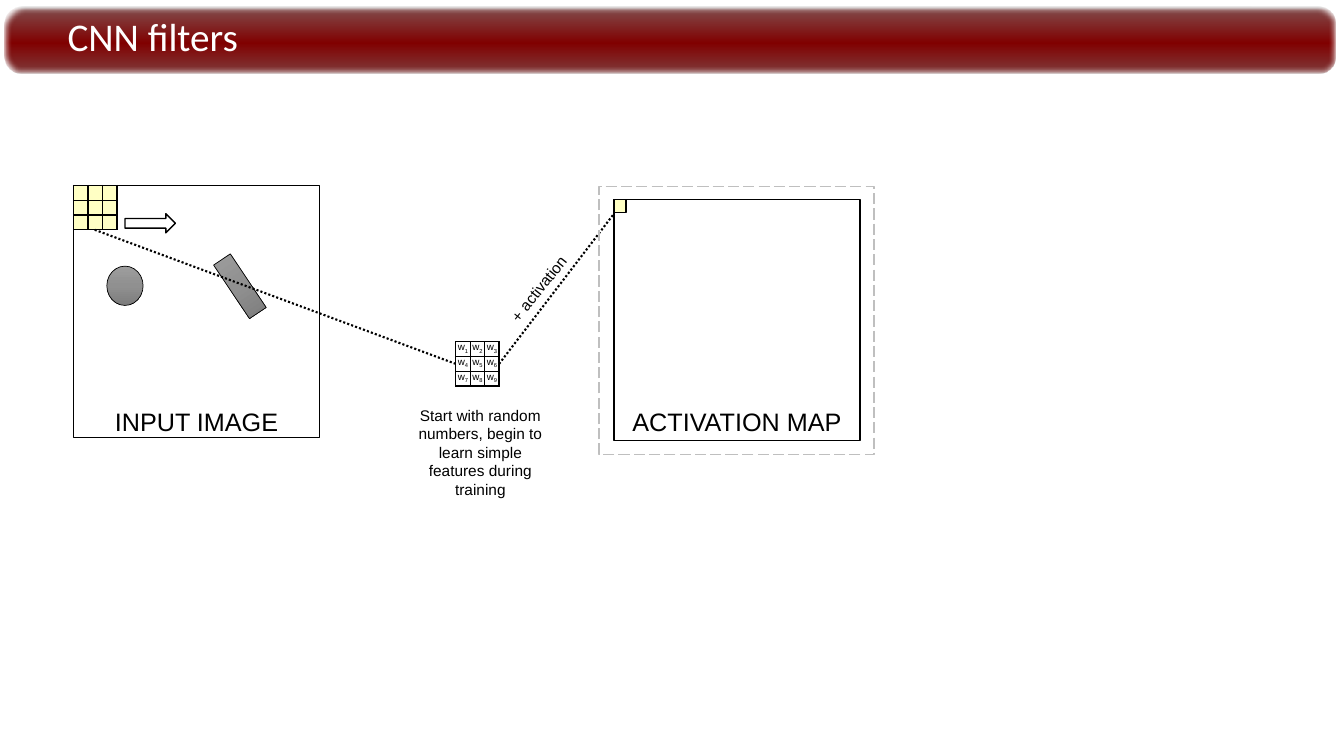
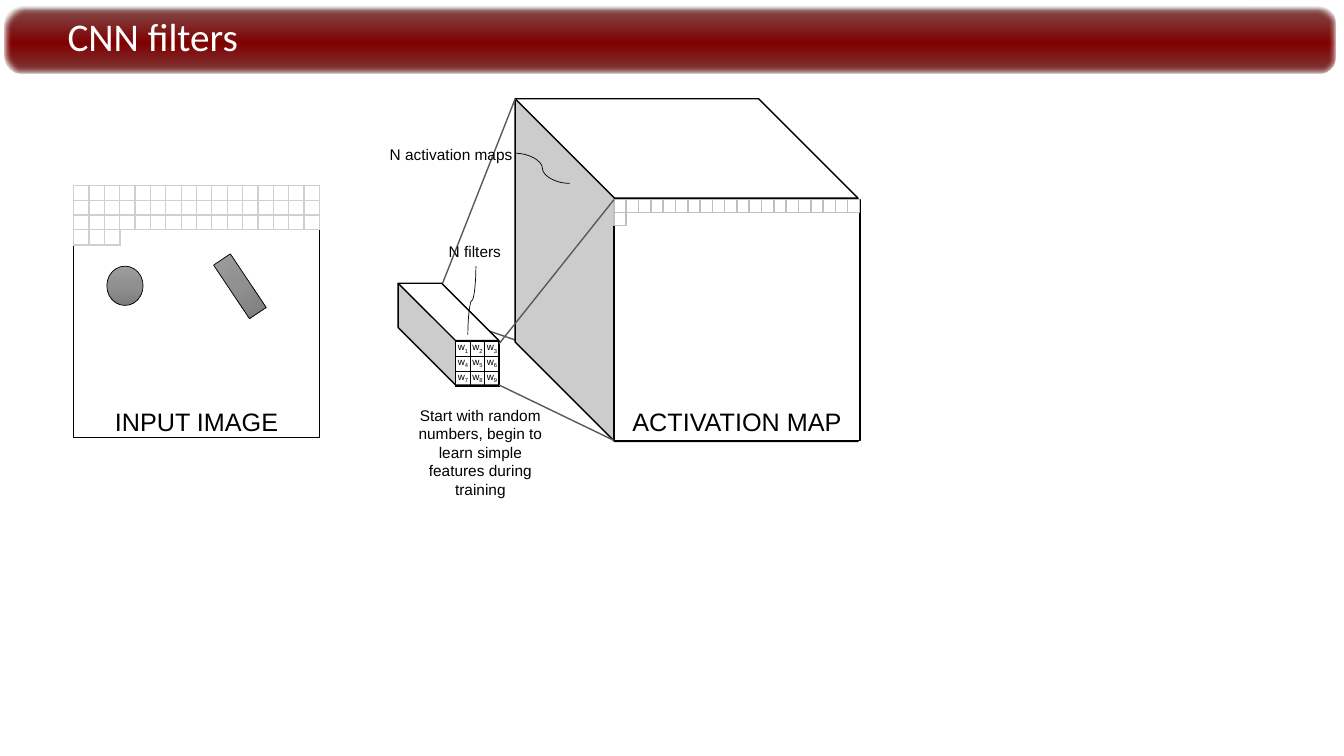
from dataclasses import dataclass
from typing import NamedTuple, Optional

from lxml.etree import SubElement
from pptx import Presentation
from pptx.dml.color import RGBColor
from pptx.enum.dml import MSO_LINE
from pptx.enum.shapes import MSO_CONNECTOR, MSO_SHAPE
from pptx.enum.text import MSO_ANCHOR, MSO_AUTO_SIZE, PP_ALIGN
from pptx.oxml.ns import qn
from pptx.shapes.autoshape import Shape
from pptx.slide import Slide
from pptx.text.text import _Paragraph
from pptx.util import Inches, Pt


class Stop(NamedTuple):
    percent: int
    color: str
    opacity: int = 100


class Box(NamedTuple):
    left: float
    top: float
    width: float
    height: float


class Label(NamedTuple):
    text: str
    box: Box
    size: int
    wrap: bool = False
    rotation: float = 0


class Line(NamedTuple):
    start: tuple[float, float]
    end: tuple[float, float]
    color: str
    width: float = 1
    dash: Optional[MSO_LINE] = None
    kind: MSO_CONNECTOR = MSO_CONNECTOR.STRAIGHT
    rotation: int = 0


@dataclass(frozen=True)
class Theme:
    black: str = "000000"
    white: str = "FFFFFF"
    yellow: str = "FFFF00"
    projection: str = "595959"
    faint: str = "BFBFBF"
    faint_grid: str = "D0CECE"
    title_font: str = "Calibri"
    body_font: str = "Arial"
    title_size: int = 28
    label_size: int = 18
    note_size: int = 11
    weight_size: int = 7
    yellow_opacity: int = 23
    band: tuple[Stop, ...] = (
        Stop(0, "808080", 50), Stop(5, "814949"), Stop(54, "800000"),
        Stop(96, "7F3838"), Stop(100, "7F6060"), Stop(100, "808080", 50),
    )
    object_gray: tuple[Stop, ...] = (
        Stop(0, "9D9D9D"), Stop(50, "909090"), Stop(100, "7C7C7C"),
    )


THEME = Theme()
INPUT = Box(0.73, 1.84, 2.44, 2.5)
ACTIVATION = Box(6.09, 1.98, 2.44, 2.39)
FILTER = Box(4.52, 3.39, 0.43, 0.44)
PIXEL = Box(ACTIVATION.left, ACTIVATION.top, 0.12, 0.13)
PIXELS_ACROSS = 20

SHARED_LABELS = (
    Label("INPUT IMAGE", Box(1.03, 3.98, 1.84, 0.4), THEME.label_size),
    Label("ACTIVATION MAP", Box(6.16, 3.98, 2.3, 0.4), THEME.label_size),
    Label("Start with random numbers, begin to learn simple features during training",
          Box(4.05, 3.98, 1.43, 1.03), THEME.note_size, wrap=True),
)


def set_opacity(parent, percent: int) -> None:
    for color in parent.iter(qn("a:srgbClr")):
        SubElement(color, qn("a:alpha")).set("val", str(percent * 1000))


def add_box(slide: Slide, kind: MSO_SHAPE, box: Box, fill: Optional[str] = None,
            line: Optional[str] = THEME.black, width: float = 1,
            opacity: int = 100) -> Shape:
    shape = slide.shapes.add_shape(kind, *map(Inches, box))
    shape.shadow.inherit = False
    if fill is None:
        shape.fill.background()
    else:
        shape.fill.solid()
        shape.fill.fore_color.rgb = RGBColor.from_string(fill)
    if opacity < 100:
        set_opacity(shape.fill._xPr.find(qn("a:solidFill")), opacity)
    if line is None:
        shape.line.fill.background()
    else:
        shape.line.color.rgb = RGBColor.from_string(line)
        shape.line.width = Pt(width)
    return shape


def set_gradient(shape: Shape, stops: tuple[Stop, ...]) -> None:
    shape.fill.gradient()
    shape.fill.gradient_angle = 270
    stop_list = shape._element.spPr.find(".//" + qn("a:gsLst"))
    for old_stop in list(stop_list):
        stop_list.remove(old_stop)
    for stop in stops:
        element = SubElement(stop_list, qn("a:gs"))
        element.set("pos", str(stop.percent * 1000))
        SubElement(element, qn("a:srgbClr")).set("val", stop.color)
        if stop.opacity < 100:
            set_opacity(element, stop.opacity)


def add_run(paragraph: _Paragraph, text: str, size: int, font: str = THEME.body_font,
            color: str = THEME.black, subscript: bool = False) -> None:
    run = paragraph.add_run()
    run.text = text
    run.font.size = Pt(size)
    run.font.name = font
    run.font.color.rgb = RGBColor.from_string(color)
    if subscript:
        run._r.get_or_add_rPr().set("baseline", "-25000")


def add_label(slide: Slide, label: Label) -> None:
    shape = slide.shapes.add_textbox(*map(Inches, label.box))
    shape.rotation = label.rotation
    frame = shape.text_frame
    frame.word_wrap = label.wrap
    frame.auto_size = MSO_AUTO_SIZE.SHAPE_TO_FIT_TEXT
    paragraph = frame.paragraphs[0]
    paragraph.alignment = PP_ALIGN.CENTER
    add_run(paragraph, label.text, label.size)


def add_line(slide: Slide, line: Line) -> None:
    connector = slide.shapes.add_connector(line.kind, *map(Inches, line.start + line.end))
    connector.line.color.rgb = RGBColor.from_string(line.color)
    connector.line.width = Pt(line.width)
    if line.dash is not None:
        connector.line.dash_style = line.dash
    properties = connector._element.spPr
    if line.rotation:
        properties.find(qn("a:xfrm")).set("rot", str(line.rotation * 60000))
    SubElement(properties, qn("a:effectLst"))


def add_grid(slide: Slide, box: Box, rows: int, columns: int, border: str,
             fill: Optional[str] = None, weights: bool = False) -> None:
    table = slide.shapes.add_table(rows, columns, *map(Inches, box)).table
    table.first_row = table.horz_banding = False
    for column in table.columns:
        column.width = Inches(box.width / columns)
    for row in table.rows:
        row.height = Inches(box.height / rows)
    for number, cell in enumerate(table.iter_cells(), start=1):
        cell.margin_left = cell.margin_right = cell.margin_top = cell.margin_bottom = 0
        properties = cell._tc.get_or_add_tcPr()
        for side in ("L", "R", "T", "B"):
            edge = SubElement(properties, qn(f"a:ln{side}"))
            edge.set("w", str(Pt(1)))
            paint = SubElement(edge, qn("a:solidFill"))
            SubElement(paint, qn("a:srgbClr")).set("val", border)
        if fill is None:
            cell.fill.background()
        else:
            cell.fill.solid()
            cell.fill.fore_color.rgb = RGBColor.from_string(fill)
            set_opacity(properties.find(qn("a:solidFill")), THEME.yellow_opacity)
        paragraph = cell.text_frame.paragraphs[0]
        paragraph.alignment = PP_ALIGN.CENTER
        if weights:
            add_run(paragraph, "w", THEME.weight_size)
            add_run(paragraph, str(number), THEME.weight_size, subscript=True)
        else:
            end = SubElement(paragraph._p, qn("a:endParaRPr"))
            end.set("sz", str(THEME.weight_size * 100))


def add_header(slide: Slide, title: str) -> None:
    band = add_box(slide, MSO_SHAPE.ROUNDED_RECTANGLE, Box(0.05, 0.07, 13.2, 0.66), line=None)
    band.adjustments[0] = 0.27
    set_gradient(band, THEME.band)
    effects = band._element.spPr.find(qn("a:effectLst"))
    SubElement(effects, qn("a:softEdge")).set("rad", str(Pt(2.5)))
    frame = slide.shapes.add_textbox(*map(Inches, Box(0.67, 0.11, 12.43, 0.55))).text_frame
    frame.word_wrap = True
    frame.vertical_anchor = MSO_ANCHOR.MIDDLE
    frame.margin_left = frame.margin_right = frame.margin_top = frame.margin_bottom = 0
    paragraph = frame.paragraphs[0]
    paragraph.line_spacing = 0.9
    add_run(paragraph, title, THEME.title_size, THEME.title_font, THEME.white)


def add_scene(slide: Slide) -> None:
    add_box(slide, MSO_SHAPE.RECTANGLE, INPUT, THEME.white)
    for kind, box, rotation in (
        (MSO_SHAPE.OVAL, Box(1.06, 2.64, 0.36, 0.39), 0),
        (MSO_SHAPE.RECTANGLE, Box(2.28, 2.52, 0.2, 0.64), 326.2),
    ):
        pictured_object = add_box(slide, kind, box, width=0.5)
        pictured_object.rotation = rotation
        set_gradient(pictured_object, THEME.object_gray)
    add_grid(slide, FILTER, 3, 3, THEME.black, weights=True)
    add_box(slide, MSO_SHAPE.RECTANGLE, ACTIVATION, THEME.white)
    for label in SHARED_LABELS:
        add_label(slide, label)


def build_single_filter(slide: Slide) -> None:
    add_header(slide, "CNN filters")
    add_scene(slide)
    add_grid(slide, Box(INPUT.left, INPUT.top, FILTER.width, FILTER.height),
             3, 3, THEME.black, THEME.yellow)
    for start, end in (((0.94, 2.28), (4.52, 3.61)), ((4.95, 3.61), (6.09, 2.12))):
        add_line(slide, Line(start, end, THEME.black, 1.5, MSO_LINE.ROUND_DOT))
    add_box(slide, MSO_SHAPE.RECTANGLE, PIXEL, THEME.yellow, opacity=THEME.yellow_opacity)
    add_box(slide, MSO_SHAPE.RIGHT_ARROW, Box(1.24, 2.12, 0.5, 0.19), THEME.white)
    add_label(slide, Label("+ activation", Box(4.85, 2.72, 0.99, 0.29),
                           THEME.note_size, rotation=308.4))
    padding = add_box(slide, MSO_SHAPE.RECTANGLE, Box(5.94, 1.85, 2.73, 2.66), line=THEME.faint)
    padding.line.dash_style = MSO_LINE.LONG_DASH


def build_filter_stack(slide: Slide) -> None:
    add_header(slide, "CNN filters")
    add_line(slide, Line((4.84, 3.28), (5.13, 3.38), THEME.projection))
    for box, depth in ((Box(5.11, 0.98, 3.4, 3.4), 0.29), (Box(3.95, 2.81, 1, 1.01), 0.57)):
        cube = add_box(slide, MSO_SHAPE.CUBE, box, THEME.white)
        cube.adjustments[0] = depth
        cube._element.spPr.find(qn("a:xfrm")).set("flipH", "1")
    add_scene(slide)

    pitch = ACTIVATION.width / PIXELS_ACROSS
    positions = [(column, 0) for column in range(PIXELS_ACROSS)] + [(0, 1)]
    for column, row in positions:
        pixel = PIXEL._replace(left=PIXEL.left + column * pitch,
                               top=PIXEL.top + row * PIXEL.height)
        add_box(slide, MSO_SHAPE.RECTANGLE, pixel, line=THEME.faint)
    add_grid(slide, Box(INPUT.left, INPUT.top, INPUT.width, 0.44), 3, 16, THEME.faint_grid)
    add_grid(slide, Box(INPUT.left, 2.28, 0.46, 0.15), 1, 3, THEME.faint_grid)

    for line in (
        Line((4.34, 2.94), (5.02, 3.02), THEME.black, 0.5,
             kind=MSO_CONNECTOR.CURVE, rotation=90),
        Line((5.11, 1.52), (5.65, 1.82), THEME.black, 0.5, kind=MSO_CONNECTOR.CURVE),
        Line((4.39, 2.81), (5.11, 0.98), THEME.projection),
        Line((4.95, 3.82), (6.09, 4.37), THEME.projection),
        Line((4.95, 3.41), (6.09, 1.98), THEME.projection),
    ):
        add_line(slide, line)
    add_label(slide, Label("N activation maps", Box(3.76, 1.39, 1.43, 0.29), THEME.note_size))
    add_label(slide, Label("N filters", Box(4.35, 2.35, 0.72, 0.29), THEME.note_size))


def main() -> None:
    presentation = Presentation()
    presentation.slide_width = Inches(13.33)
    presentation.slide_height = Inches(7.5)
    blank_layout = presentation.slide_layouts[6]
    for build in (build_single_filter, build_filter_stack):
        build(presentation.slides.add_slide(blank_layout))
    presentation.save("out.pptx")


if __name__ == "__main__":
    main()
